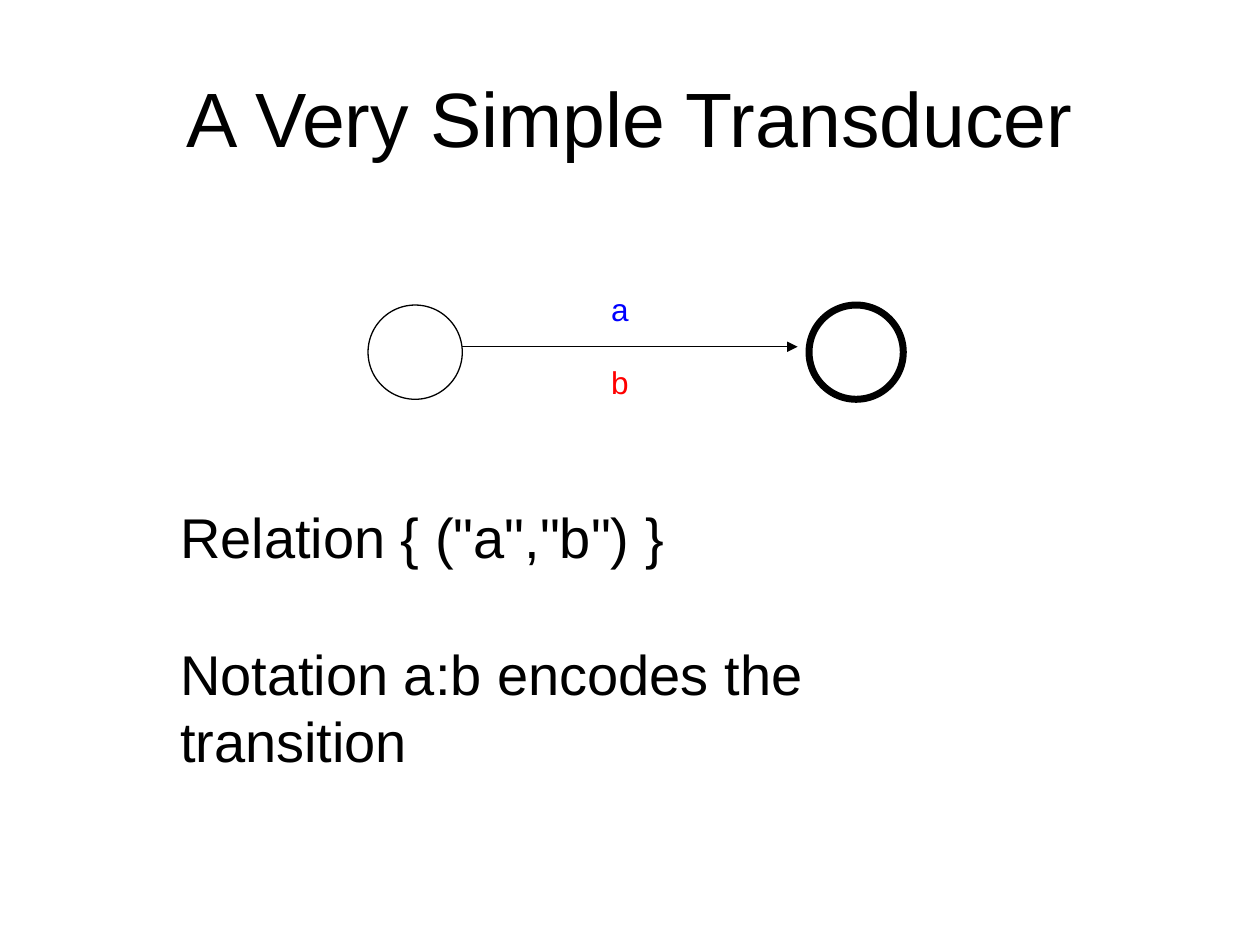
from lxml import etree
from pptx import Presentation
from pptx.dml.color import RGBColor
from pptx.enum.shapes import MSO_CONNECTOR, MSO_SHAPE
from pptx.enum.text import MSO_ANCHOR, PP_ALIGN
from pptx.oxml.ns import qn
from pptx.util import Cm, Pt

OVAL = MSO_SHAPE.OVAL
LINE = MSO_CONNECTOR.STRAIGHT
MID = MSO_ANCHOR.MIDDLE
MID_ALIGN = PP_ALIGN.CENTER

THEME = {
    "face": "Arial",
    "ink": RGBColor(0, 0, 0),
    "input": RGBColor(0, 0, 255),
    "output": RGBColor(255, 0, 0),
    "title": Pt(44),
    "body": Pt(32),
    "label": Pt(18),
    "thin": Pt(0.75),
    "thick": Pt(4),
}


def style(para, size, color):
    form = {"name": THEME["face"], "size": THEME[size]}
    for key, value in form.items():
        setattr(para.font, key, value)
    para.font.color.rgb = THEME[color]


def add_title(slide, text):
    title = slide.shapes.title
    place = {"left": Cm(1.27), "top": Cm(0.76), "width": Cm(22.86), "height": Cm(3.18)}
    for key, value in place.items():
        setattr(title, key, value)
    frame = title.text_frame
    frame.text = text
    frame.vertical_anchor = MID
    para = frame.paragraphs[0]
    para.alignment = MID_ALIGN
    style(para, "title", "ink")


def add_text(slide, box, lines, size, color, gap=0):
    frame = slide.shapes.add_textbox(*map(Cm, box)).text_frame
    frame.word_wrap = False
    for i, text in enumerate(lines):
        para = frame.add_paragraph() if i else frame.paragraphs[0]
        para.text = text
        para.space_before = Pt(gap if i else 0)
        style(para, size, color)


def set_line(line, weight):
    line.color.rgb = THEME["ink"]
    line.width = THEME[weight]


def add_state(slide, left, top, size, weight):
    state = slide.shapes.add_shape(OVAL, Cm(left), Cm(top), Cm(size), Cm(size))
    state.shadow.inherit = False
    state.fill.background()
    set_line(state.line, weight)


def add_arrow(slide, start, end, y):
    arrow = slide.shapes.add_connector(LINE, Cm(start), Cm(y), Cm(end), Cm(y))
    set_line(arrow.line, "thin")
    etree.SubElement(arrow.line._get_or_add_ln(), qn("a:tailEnd"), type="triangle")
    etree.SubElement(arrow._element.spPr, qn("a:effectLst"))


def main():
    deck = Presentation()
    deck.slide_width, deck.slide_height = Cm(25.4), Cm(19.05)
    slide = deck.slides.add_slide(deck.slide_layouts[5])

    add_title(slide, "A Very Simple Transducer")

    size, top = 1.9, 6.15
    for left, weight in ((7.42, "thin"), (16.31, "thick")):
        add_state(slide, left, top, size, weight)
    add_arrow(slide, 7.42 + size, 16.08, 6.99)

    for text, y, color in (("a", 5.72, "input"), ("b", 7.19, "output")):
        add_text(slide, (12.07, y, 0.86, 1.02), [text], "label", color)

    lines = ['Relation { ("a","b") }', "Notation a:b encodes the transition"]
    add_text(slide, (3.38, 10, 17.96, 4.32), lines, "body", "ink", gap=40)

    deck.save("out.pptx")


if __name__ == "__main__":
    main()
